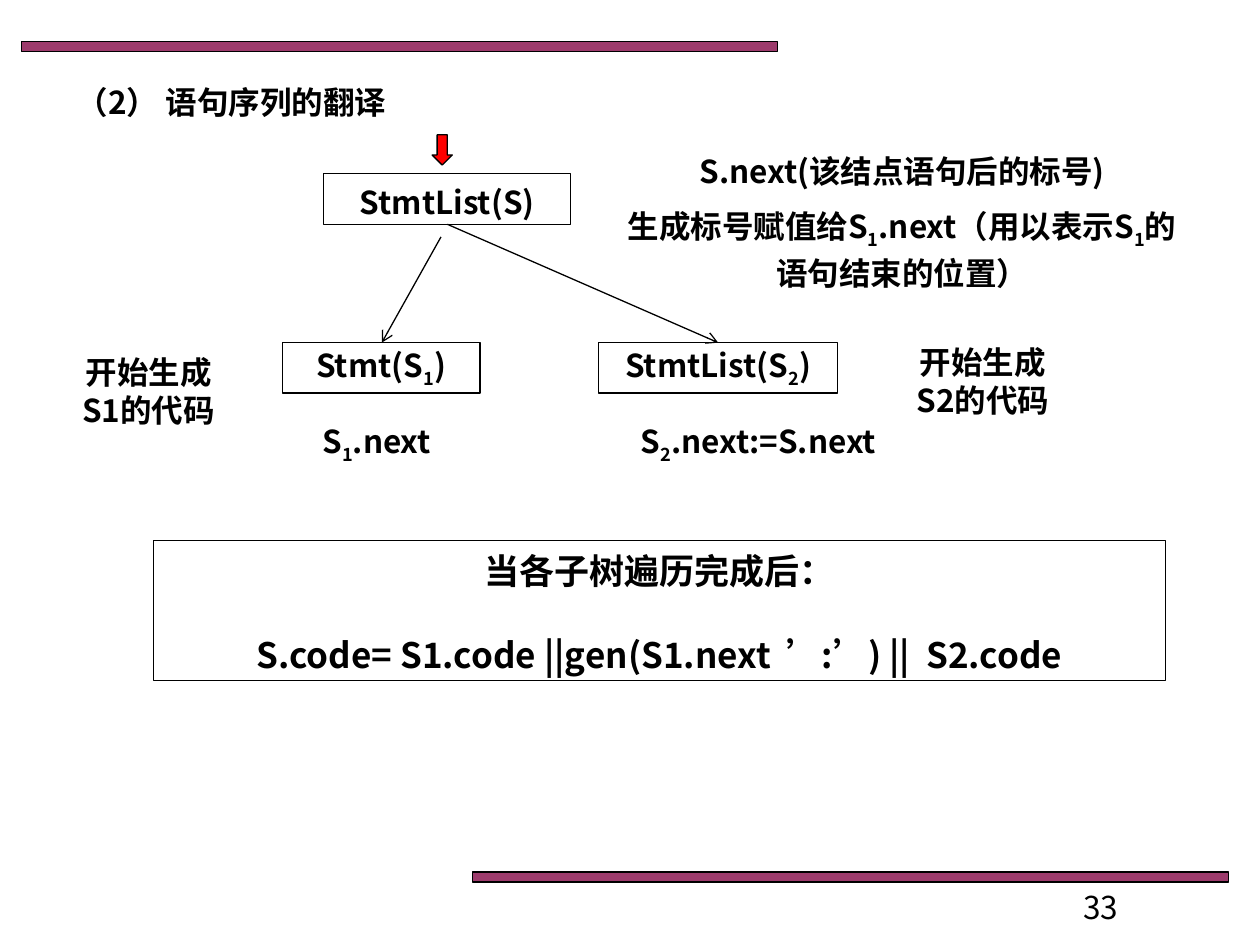
from lxml.etree import SubElement
from pptx import Presentation
from pptx.dml.color import RGBColor
from pptx.enum.shapes import MSO_CONNECTOR, MSO_SHAPE
from pptx.enum.text import MSO_ANCHOR, PP_ALIGN
from pptx.oxml.ns import qn
from pptx.util import Inches, Pt

COLORS = {"text": "000000", "line": "000000", "bar": "993366", "marker": "FF0000"}
FONT = "Noto Sans CJK SC"
UNIT = 0.1  # side of one grid cell in inches: 100 columns by 75 rows
ROW_HEIGHT = 4  # grid rows of a one-line box


def color(name):
    return RGBColor.from_string(COLORS[name])


def inside(box, column, row, width, height):
    """Return a box placed relative to the corner of a region."""
    return box[0] + column, box[1] + row, width, height


def lengths(*cells):
    return [Inches(cell * UNIT) for cell in cells]


def write_paragraph(paragraph, text, size=18, bold=True,
                    align=PP_ALIGN.CENTER, spacing=1.2):
    """Write runs; every second piece between underscores is a subscript."""
    paragraph.alignment = align
    paragraph.line_spacing = Pt(size * spacing)
    paragraph.space_before = Pt(0)
    for index, piece in enumerate(text.split("_")):
        run = paragraph.add_run()
        run.text = piece
        font = run.font
        font.name, font.size, font.bold = FONT, Pt(size), bold
        font.color.rgb = color("text")
        properties = font._element
        SubElement(properties, qn("a:ea")).set("typeface", FONT)
        if index % 2:
            properties.set("baseline", "-25000")


def prepare_frame(shape):
    frame = shape.text_frame
    frame.word_wrap = True
    frame.vertical_anchor = MSO_ANCHOR.TOP
    frame.margin_left = frame.margin_right = Inches(0.1)
    frame.margin_top, frame.margin_bottom = Inches(0.07), Inches(0.03)
    return frame


def add_label(slide, box, text, **style):
    label = slide.shapes.add_textbox(*lengths(*box))
    write_paragraph(prepare_frame(label).paragraphs[0], text, **style)


def add_outline(slide, box, kind=MSO_SHAPE.RECTANGLE, fill=None):
    shape = slide.shapes.add_shape(kind, *lengths(*box))
    shape.shadow.inherit = False
    if fill:
        shape.fill.solid()
        shape.fill.fore_color.rgb = color(fill)
    else:
        shape.fill.background()
    shape.line.color.rgb = color("line")
    shape.line.width = Pt(0.75)
    return shape


def add_arrow(slide, start, end):
    arrow = slide.shapes.add_connector(
        MSO_CONNECTOR.STRAIGHT, *lengths(*start, *end))
    arrow.line.color.rgb = color("line")
    arrow.line.width = Pt(0.75)
    properties = arrow._element.spPr
    SubElement(properties.find(qn("a:ln")), qn("a:tailEnd")).set("type", "arrow")
    SubElement(properties, qn("a:effectLst"))


def add_bars(slide, box):
    """Draw the bars at the top left and bottom right of the box."""
    left, top, width, height = box
    bar_width, bar_height = 60, 0.8
    for x, y in ((left, top),
                 (left + width - bar_width, top + height - bar_height)):
        bar = add_outline(slide, (x, y, bar_width, bar_height), fill="bar")
        fill_color = bar.fill._xPr.find(qn("a:solidFill"))[0]
        SubElement(fill_color, qn("a:alpha")).set("val", "96000")


def add_title(slide, box):
    title = slide.shapes.title
    title.left, title.top, title.width, title.height = lengths(*box)
    write_paragraph(prepare_frame(title).paragraphs[0],
                    "（2） 语句序列的翻译", align=PP_ALIGN.LEFT)


def add_tree(slide, box):
    """Draw the parse tree with its marker, nodes, edges and attributes."""
    nodes = (
        (3.3, 3.1, 19.6, "StmtList(S)"),
        (0, 16.5, 15.7, "Stmt(S_1_)"),
        (25.1, 16.5, 19, "StmtList(S_2_)"),
    )
    for column, row, width, text in nodes:
        node = add_outline(slide, inside(box, column, row, width, ROW_HEIGHT))
        write_paragraph(prepare_frame(node).paragraphs[0], text)

    # Edges from the root to its children
    for start, end in (((12.6, 8.1), (7.9, 16.5)), ((13.1, 7.1), (34.6, 16.5))):
        add_arrow(slide, inside(box, *start, 0, 0)[:2],
                  inside(box, *end, 0, 0)[:2])

    # Attributes below the children
    for column, width, text in ((0, 15, "S_1_.next"),
                                (25.2, 25.2, "S_2_.next:=S.next")):
        add_label(slide, inside(box, column, 22.5, width, ROW_HEIGHT), text)

    # Marker at the node being visited
    add_outline(slide, inside(box, 11.9, 0, 1.6, 2.4),
                MSO_SHAPE.DOWN_ARROW, "marker")


def add_root_notes(slide, box):
    width = box[2]
    add_label(slide, inside(box, 0, 0, width, ROW_HEIGHT),
              "S.next(该结点语句后的标号)")
    add_label(slide, inside(box, 0, 4.4, width, 7.1),
              "生成标号赋值给S_1_.next（用以表示S_1_的语句结束的位置）",
              spacing=1.33)


def add_child_notes(slide, box):
    left, top, width, height = box
    note_width = 13.4
    for number, x, y in ((1, left, top + 0.8),
                         (2, left + width - note_width, top)):
        add_label(slide, (x, y, note_width, 7.1), f"开始生成S{number}的代码")


def add_result(slide, box):
    frame = prepare_frame(add_outline(slide, box))
    write_paragraph(frame.paragraphs[0], "当各子树遍历完成后：", size=20)
    code = frame.add_paragraph()
    write_paragraph(code, "S.code= S1.code ||gen(S1.next  ’:’) ||  S2.code", size=20)
    code.space_before = Pt(24)


def main():
    presentation = Presentation()
    presentation.slide_width, presentation.slide_height = lengths(100, 75)
    slide = presentation.slides.add_slide(presentation.slide_layouts[5])

    add_bars(slide, (1.7, 3.3, 95.8, 66.7))
    add_title(slide, (5.1, 5.9, 42.5, ROW_HEIGHT))
    add_tree(slide, (22.4, 10.7, 50.4, 26.5))
    add_root_notes(slide, (47.6, 11.4, 48, 11.5))
    add_child_notes(slide, (5.1, 26.5, 79.6, 7.9))
    add_result(slide, (12.2, 42.9, 80.3, 11.1))
    # Slide number
    add_label(slide, (85, 69.8, 15, ROW_HEIGHT), "33",
              bold=False, align=PP_ALIGN.LEFT)

    presentation.save("out.pptx")


if __name__ == "__main__":
    main()
